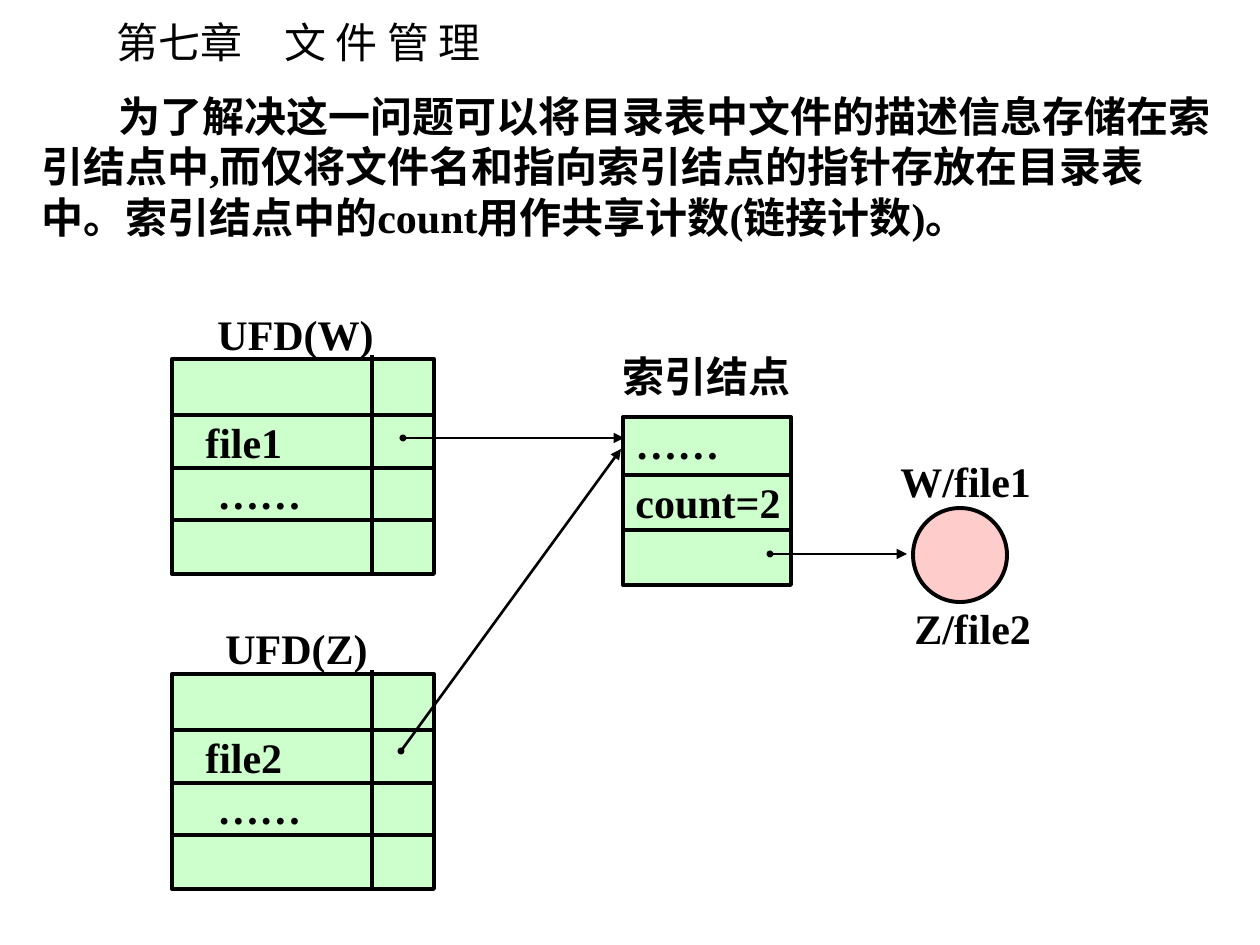
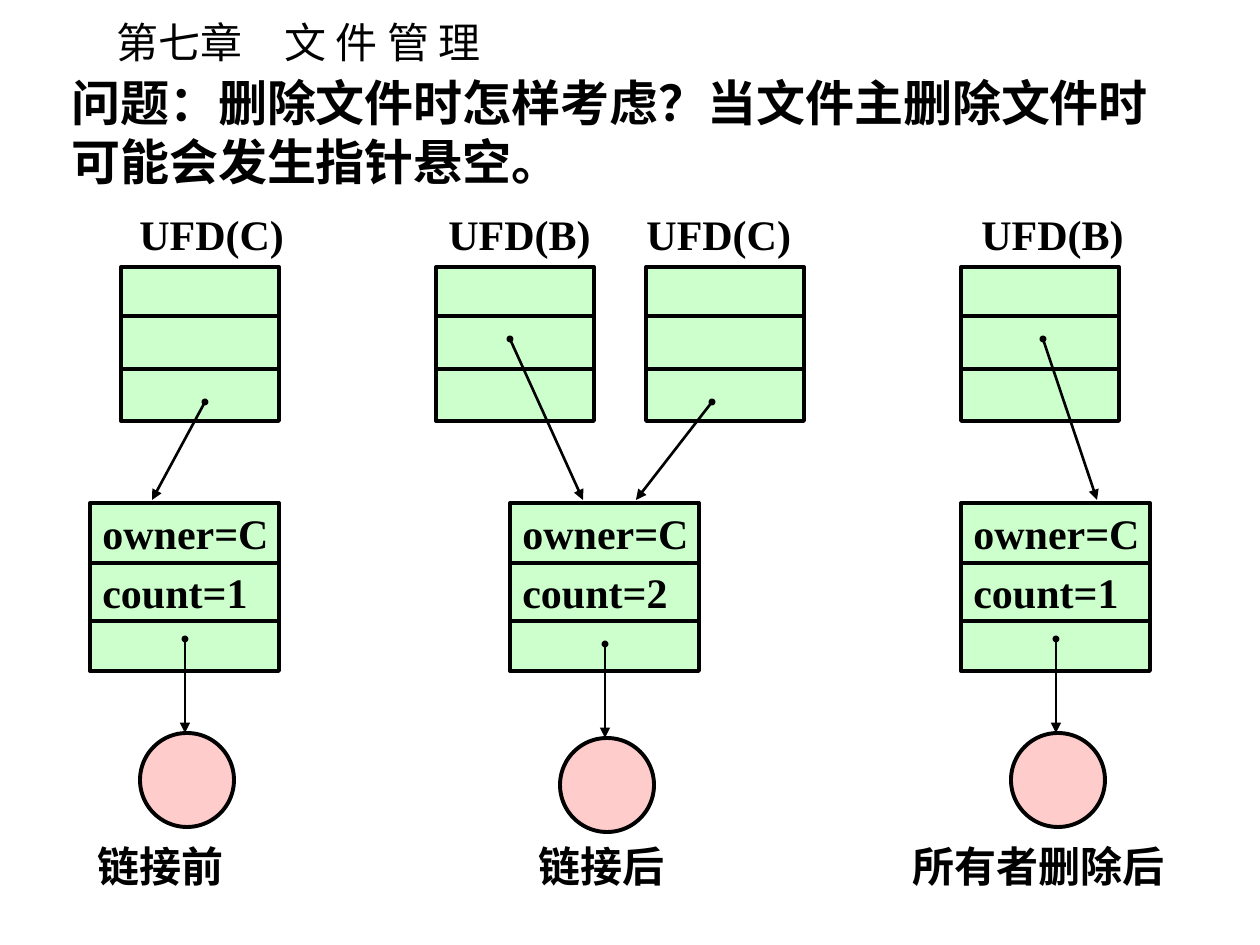
from lxml import etree
from pptx import Presentation
from pptx.dml.color import RGBColor
from pptx.enum.shapes import MSO_CONNECTOR, MSO_SHAPE
from pptx.enum.text import MSO_ANCHOR, MSO_AUTO_SIZE, PP_ALIGN
from pptx.oxml.ns import qn
from pptx.util import Pt

RECT, OVAL = MSO_SHAPE.RECTANGLE, MSO_SHAPE.OVAL
LINE = MSO_CONNECTOR.STRAIGHT
TOP, MIDDLE = MSO_ANCHOR.TOP, MSO_ANCHOR.MIDDLE
GROW, LEFT = MSO_AUTO_SIZE.SHAPE_TO_FIT_TEXT, PP_ALIGN.LEFT

WIDTH, HEIGHT, SCALE = 1260, 945, 914400 / 126
BLACK, GREEN, PINK = "000000", "CCFFCC", "FFCCCC"
SERIF, SANS = "Times New Roman", "Noto Sans CJK SC"
ROW, DISC = 63, 94

TITLE = "第七章　文 件 管 理"
INTRO = "为了解决这一问题可以将目录表中文件的描述信息存储在索引结点中,而仅将文件名和指向索引结点的指针存放在目录表中。索引结点中的count用作共享计数(链接计数)。"
ISSUE = "问题：删除文件时怎样考虑？当文件主删除文件时可能会发生指针悬空。"

SHARE = {
    "labels": [("UFD(W)", 205, 302, 181), ("UFD(Z)", 213, 616, 168),
               ("索引结点", 610, 344, 193),
               ("W/file1", 888, 449, 155), ("Z/file2", 902, 596, 141)],
    "dirs": [("file1", 359), ("file2", 674)],
    "node": ["……", "count=2"],
    "links": [(403, 438, 624, 438), (401, 751, 621, 449), (770, 554, 907, 554)],
    "disc": (913, 508),
}
DIRS = [("UFD(C)", 121, 127), ("UFD(B)", 436, 436),
        ("UFD(C)", 646, 634), ("UFD(B)", 961, 969)]
LINKS = [(205, 402, 152, 500), (510, 339, 583, 500),
         (712, 402, 636, 500), (1043, 339, 1097, 500)]
STAGES = [("链接前", 85, 151, 90, 733, "count=1"),
          ("链接后", 526, 151, 510, 738, "count=2"),
          ("所有者删除后", 900, 277, 961, 733, "count=1")]


def px(value):
    return round(value * SCALE)


def tint(code):
    return RGBColor.from_string(code)


def style(para, size=24, font=SERIF, east=SANS, bold=True, indent=0, first=0):
    para.alignment = LEFT
    para.font.size = Pt(size)
    para.font.bold = bold
    para.font.color.rgb = tint(BLACK)
    para.font.name = font
    props = para._p.get_or_add_pPr()
    props.set("marL", str(px(indent)))
    props.set("indent", str(px(first)))
    props.set("hangingPunct", "0")
    face = etree.SubElement(props.find(qn("a:defRPr")), qn("a:ea"))
    face.set("typeface", east)


def label(slide, text, x, y, w, h=ROW, anchor=MIDDLE, **look):
    frame = slide.shapes.add_textbox(px(x), px(y), px(w), px(h)).text_frame
    frame.word_wrap = True
    frame.auto_size = GROW
    frame.vertical_anchor = anchor
    frame.margin_right = 0
    frame.text = text
    style(frame.paragraphs[0], **look)


def line(slide, x1, y1, x2, y2, width=2.25, arrow=False):
    item = slide.shapes.add_connector(LINE, px(x1), px(y1), px(x2), px(y2))
    item.line.color.rgb = tint(BLACK)
    item.line.width = Pt(width)
    if arrow:
        stroke = item.line._get_or_add_ln()
        for tag, kind, size in (("a:headEnd", "oval", "sm"),
                                ("a:tailEnd", "triangle", "med")):
            end = etree.SubElement(stroke, qn(tag))
            end.set("type", kind)
            end.set("w", size)
            end.set("len", size)
    etree.SubElement(item._element.spPr, qn("a:effectLst"))


def link(slide, x1, y1, x2, y2):
    line(slide, x1, y1, x2, y2, 1.5, True)


def shape(slide, kind, x, y, w, h, fill):
    item = slide.shapes.add_shape(kind, px(x), px(y), px(w), px(h))
    item.shadow.inherit = False
    item.fill.solid()
    item.fill.fore_color.rgb = tint(fill)
    item.line.color.rgb = tint(BLACK)
    item.line.width = Pt(2.25)
    return item


def disc(slide, x, y):
    shape(slide, OVAL, x, y, DISC, DISC, PINK)


def box(slide, x, y, w, h, cuts, texts=(), inset=0, gap=0, indents=(0, 0)):
    frame = shape(slide, RECT, x, y, w, h, GREEN).text_frame
    if texts:
        frame.vertical_anchor = TOP
        frame.margin_top = px(inset)
        frame.margin_right = 0
        frame.text = "\n".join(texts)
        for para, indent in zip(frame.paragraphs, indents):
            style(para, east=SERIF, indent=indent)
        frame.paragraphs[1].space_before = px(gap)
    for cut in cuts:
        line(slide, x, y + cut, x + w, y + cut)


def start(deck):
    slide = deck.slides.add_slide(deck.slide_layouts[6])
    label(slide, TITLE, 104, 10, 398, anchor=TOP, font=SANS, bold=False)
    return slide


def share(deck):
    slide = start(deck)
    for name, y in SHARE["dirs"]:
        box(slide, 172, y, 262, 215, (56, 109, 161), (name, "……"), 58, 0, (21, 33))
        line(slide, 372, y - 4, 372, y + 215)
    box(slide, 623, 417, 168, 168, (58, 113), SHARE["node"], 0, 9)
    disc(slide, *SHARE["disc"])
    for ends in SHARE["links"]:
        link(slide, *ends)
    for item in SHARE["labels"]:
        label(slide, *item)
    label(slide, INTRO, 29, 84, 1187, 164, first=77)


def remove(deck):
    slide = start(deck)
    for name, x, left in DIRS:
        box(slide, x, 267, 158, 154, (49, 102))
        label(slide, name, left, 202, 169)
    for name, left, w, x, y, count in STAGES:
        box(slide, x, 503, 189, 168, (60, 118), ("owner=C", count), 4, 9)
        disc(slide, x + 50, y)
        link(slide, x + 95, y - 94, x + 95, y)
        label(slide, name, left, 834, w)
    for ends in LINKS:
        link(slide, *ends)
    label(slide, ISSUE, 59, 66, 1125, 131, size=28)


def main():
    deck = Presentation()
    deck.slide_width, deck.slide_height = px(WIDTH), px(HEIGHT)
    share(deck)
    remove(deck)
    deck.save("out.pptx")


if __name__ == "__main__":
    main()
